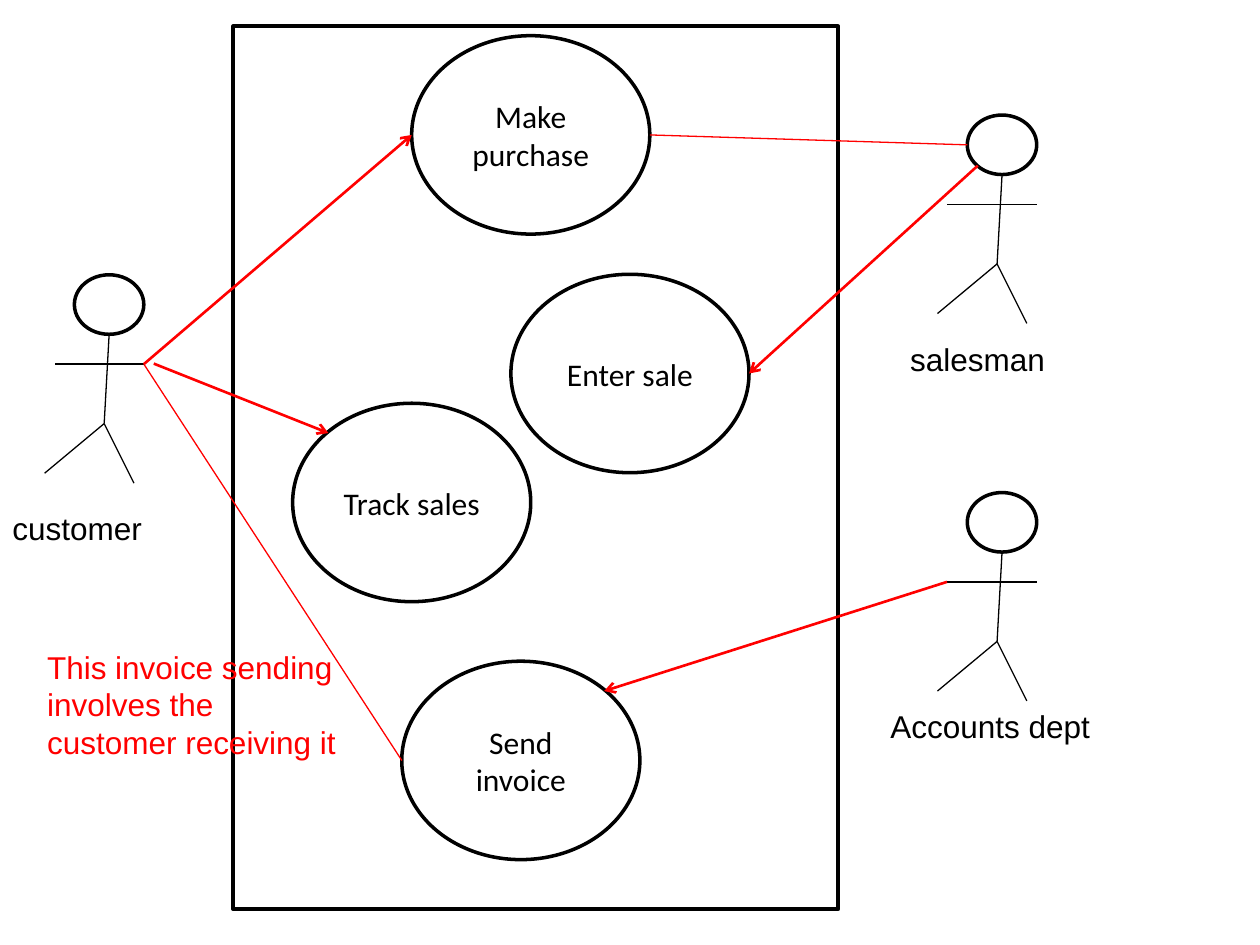
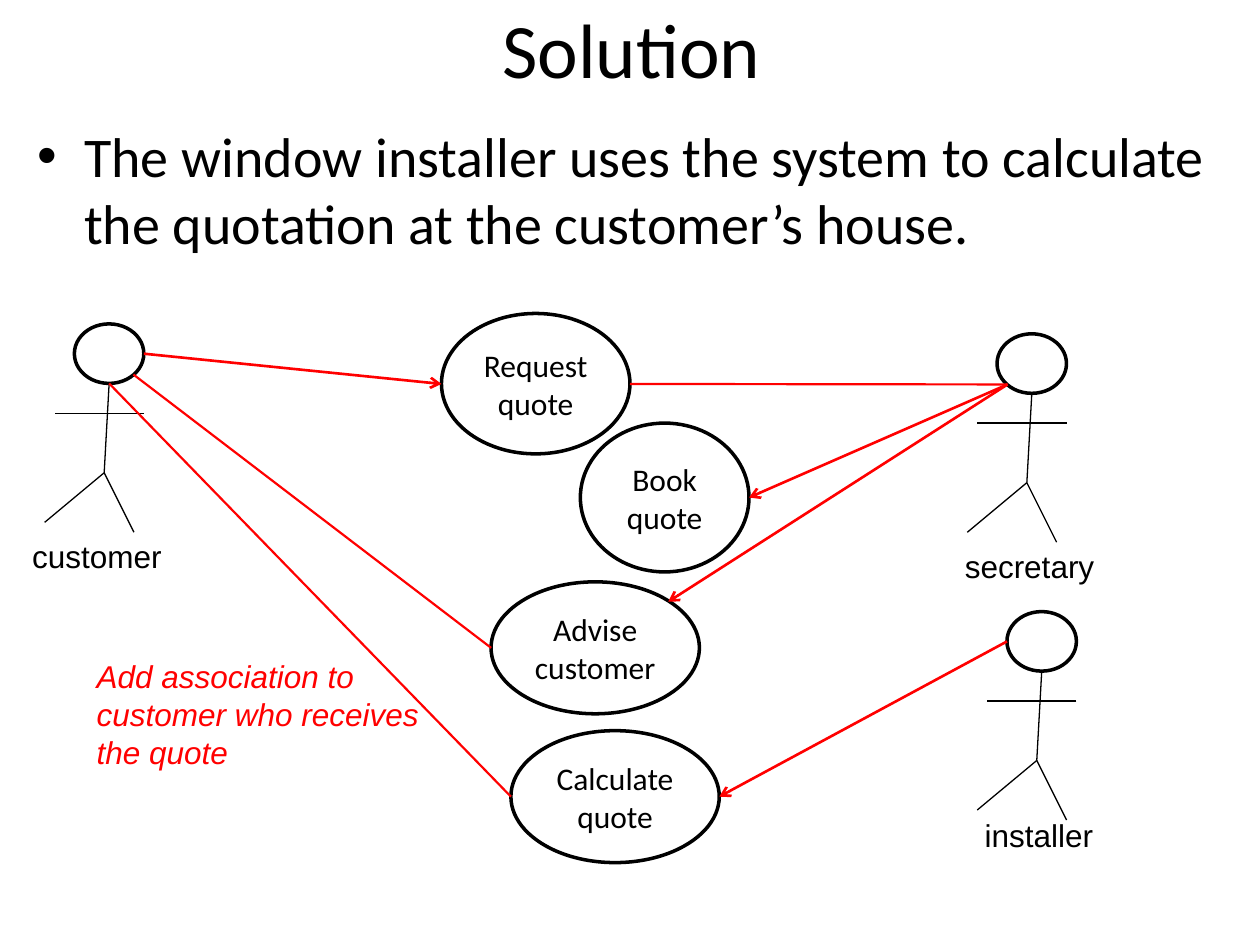
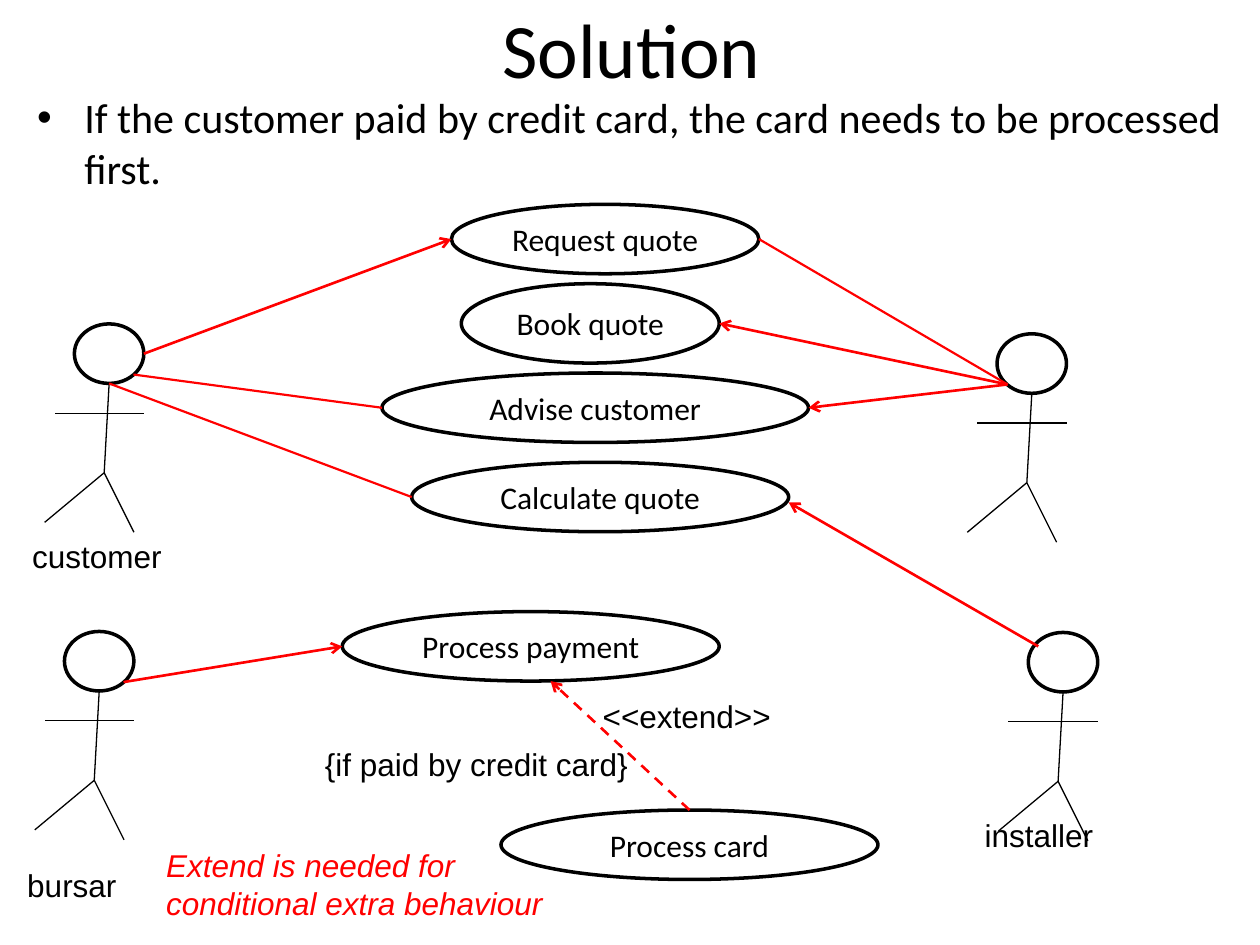
from lxml import etree
from pptx import Presentation
from pptx.dml.color import RGBColor
from pptx.enum.dml import MSO_LINE_DASH_STYLE as Dash
from pptx.enum.shapes import MSO_CONNECTOR as Connector, MSO_SHAPE as Shape
from pptx.enum.text import MSO_ANCHOR as Anchor, MSO_AUTO_SIZE as AutoSize, PP_ALIGN as Align
from pptx.oxml.ns import qn
from pptx.util import Cm, Pt

COLORS = {"ink": "000000", "accent": "FF0000"}
DIAGRAM_FONT, LABEL_FONT = "Calibri", "Arial"
SITES = {
    "top": (0.5, 0), "bottom": (0.5, 1), "left": (0, 0.5), "right": (1, 0.5),
    "top left": (0.15, 0.15), "top right": (0.85, 0.15),
    "bottom left": (0.15, 0.85), "bottom right": (0.85, 0.85),
    "left hand": (-0.29, 1.5), "right hand": (1, 1.5),
}
HEAD_SIZE = (1.4, 1.2)
LIMBS = [
    ((0.7, 1.2), (0.6, 3)),
    ((1.4, 1.8), (-0.4, 1.8)),
    ((0.6, 3), (-0.6, 4)),
    ((0.6, 3), (1.2, 4.2)),
]


def rgb(name):
    return RGBColor.from_string(COLORS[name])


def at(shape, site):
    across, down = SITES[site]
    return (round((shape.left + across * shape.width) / Cm(1), 2),
            round((shape.top + down * shape.height) / Cm(1), 2))


class UseCaseDeck:
    def __init__(self):
        self.presentation = Presentation()
        self.presentation.slide_width = Cm(25.4)
        self.presentation.slide_height = Cm(19.05)
        self.slide = None

    def new_slide(self):
        self.slide = self.presentation.slides.add_slide(self.presentation.slide_layouts[6])

    def set_text(self, frame, text, font, size=18, color="ink", italic=False, align=Align.LEFT):
        frame.word_wrap = True
        paragraph = frame.paragraphs[0]
        paragraph.text = text
        paragraph.alignment = align
        paragraph.font.name = font
        paragraph.font.size = Pt(size)
        paragraph.font.italic = italic
        paragraph.font.color.rgb = rgb(color)

    def text_box(self, left, top, width, height):
        box = self.slide.shapes.add_textbox(Cm(left), Cm(top), Cm(width), Cm(height))
        return box.text_frame

    def title(self, text):
        frame = self.text_box(1.3, 0, 22.86, 1.93)
        frame.vertical_anchor = Anchor.MIDDLE
        self.set_text(frame, text, DIAGRAM_FONT, 44, align=Align.CENTER)

    def bullet(self, text, top, height, size):
        frame = self.text_box(0.5, top, 24.4, height)
        properties = frame.paragraphs[0]._p.get_or_add_pPr()
        properties.set("marL", str(Cm(0.95)))
        properties.set("indent", str(-Cm(0.95)))
        etree.SubElement(properties, qn("a:buFont"), typeface="Arial")
        etree.SubElement(properties, qn("a:buChar"), char="•")
        self.set_text(frame, text, DIAGRAM_FONT, size)

    def label(self, text, left, top, width=3.7, height=1.02, **style):
        frame = self.text_box(left, top, width, height)
        frame.auto_size = AutoSize.SHAPE_TO_FIT_TEXT
        self.set_text(frame, text, LABEL_FONT, **style)

    def note(self, text, left, top, width, height, italic=True):
        self.label(text, left, top, width, height, color="accent", italic=italic)

    def outline(self, kind, left, top, width, height, shapes=None):
        shapes = shapes or self.slide.shapes
        shape = shapes.add_shape(kind, Cm(left), Cm(top), Cm(width), Cm(height))
        shape.shadow.inherit = False
        shape.fill.background()
        shape.line.color.rgb = rgb("ink")
        shape.line.width = Pt(2)
        return shape

    def use_case(self, text, left, top, width, height):
        shape = self.outline(Shape.OVAL, left, top, width, height)
        shape.text_frame.vertical_anchor = Anchor.MIDDLE
        self.set_text(shape.text_frame, text, DIAGRAM_FONT, align=Align.CENTER)
        return shape

    def line(self, start, end, color="accent", width=1.25, shapes=None):
        shapes = shapes or self.slide.shapes
        points = [Cm(value) for value in (*start, *end)]
        connector = shapes.add_connector(Connector.STRAIGHT, *points)
        connector.line.color.rgb = rgb(color)
        connector.line.width = Pt(width)
        etree.SubElement(connector._element.spPr, qn("a:effectLst"))
        return connector

    def arrow(self, start, end, dashed=False):
        connector = self.line(start, end, width=1.5)
        if dashed:
            connector.line.dash_style = Dash.DASH
        outline = connector._element.spPr.find(qn("a:ln"))
        etree.SubElement(outline, qn("a:tailEnd"), type="arrow")

    def actor(self, left, top):
        shapes = self.slide.shapes.add_group_shape().shapes
        head = self.outline(Shape.OVAL, left, top, *HEAD_SIZE, shapes=shapes)
        for limb in LIMBS:
            start, end = [(left + x, top + y) for x, y in limb]
            self.line(start, end, "ink", 0.75, shapes)
        return head


def sales_slide(deck):
    deck.new_slide()
    customer = deck.actor(1.5, 5.54)
    salesman = deck.actor(19.5, 2.32)
    accounts = deck.actor(19.5, 9.93)
    deck.label("customer", 0, 10.13)
    deck.label("salesman", 18.1, 6.73)
    deck.label("Accounts dept", 17.7, 14.12, 6.2)
    deck.outline(Shape.RECTANGLE, 4.7, 0.53, 12.2, 17.8)
    purchase, sale, track, invoice = [
        deck.use_case(text, left, top, 4.8, 4)
        for text, left, top in [
            ("Make purchase", 8.3, 0.72),
            ("Enter sale", 10.3, 5.53),
            ("Track sales", 5.9, 8.13),
            ("Send invoice", 8.1, 13.33),
        ]
    ]
    hand = at(customer, "right hand")
    deck.arrow(hand, at(purchase, "left"))
    deck.line(at(purchase, "right"), at(salesman, "left"), width=0.75)
    deck.note("This invoice sending involves the customer receiving it",
              0.7, 12.93, 6.4, 2.57, italic=False)
    deck.arrow(at(salesman, "bottom left"), at(sale, "right"))
    deck.arrow((3.1, 7.33), at(track, "top left"))
    deck.arrow(at(accounts, "left hand"), at(invoice, "top right"))
    deck.line(hand, at(invoice, "left"), width=0.75)


def quote_links(deck, customer, secretary, request, book, advise, calculate, advise_site):
    desk = at(secretary, "bottom left")
    deck.arrow(at(customer, "right"), at(request, "left"))
    deck.line(at(request, "right"), desk)
    deck.arrow(desk, at(book, "right"))
    deck.arrow(desk, at(advise, advise_site))
    deck.line(at(customer, "bottom right"), at(advise, "left"))
    deck.line(at(customer, "bottom"), at(calculate, "left"))


def quote_slide(deck, bullet, use_cases, advise_site):
    deck.new_slide()
    deck.title("Solution")
    deck.bullet(*bullet)
    customer = deck.actor(1.5, 6.53)
    secretary = deck.actor(20.1, 6.73)
    deck.label("customer", 0.4, 10.7)
    deck.label("installer", 19.6, 16.33)
    cases = [deck.use_case(*use_case) for use_case in use_cases]
    quote_links(deck, customer, secretary, *cases, advise_site)
    return cases


def quotation_slide(deck):
    bullet = ("The window installer uses the system to calculate the quotation "
              "at the customer’s house.", 2.33, 2.8, 32)
    calculate = quote_slide(deck, bullet, [
        ("Request quote", 8.9, 6.32, 3.8, 2.83),
        ("Book quote", 11.7, 8.53, 3.4, 3),
        ("Advise customer", 9.9, 11.73, 4.2, 2.66),
        ("Calculate quote", 10.3, 14.73, 4.2, 2.66),
    ], "top right")[-1]
    installer = deck.actor(20.3, 12.33)
    deck.label("secretary", 19.2, 10.9)
    deck.arrow(at(installer, "left"), at(calculate, "right"))
    deck.note("Add association to customer who receives the quote", 1.7, 13.13, 8, 2.57)


def payment_slide(deck):
    bullet = ("If the customer paid by credit card, the card needs to be processed first.",
              1.73, 1.6, 24)
    quote_slide(deck, bullet, [
        ("Request quote", 9.1, 4.12, 6.2, 1.4),
        ("Book quote", 9.3, 5.72, 5.2, 1.6),
        ("Advise customer", 7.7, 7.52, 8.6, 1.4),
        ("Calculate quote", 8.3, 9.32, 7.6, 1.4),
    ], "right")
    bursar = deck.actor(1.3, 12.73)
    deck.actor(20.73, 12.75)
    payment = deck.use_case("Process payment", 6.9, 12.33, 7.6, 1.4)
    card = deck.use_case("Process card", 10.1, 16.33, 7.6, 1.4)
    deck.label("bursar", 0.3, 17.33)
    deck.arrow(at(bursar, "bottom right"), at(payment, "left"))
    deck.arrow((20.93, 13.03), (15.9, 10.13))
    deck.arrow(at(card, "top"), (11.1, 13.73), dashed=True)
    deck.label("<<extend>>", 11.9, 13.93, 4)
    deck.label("{if paid by credit card}", 6.3, 14.9, 7.2)
    deck.note("Extend is needed for conditional extra behaviour", 3.1, 16.93, 8.6, 1.8)


def main():
    deck = UseCaseDeck()
    sales_slide(deck)
    quotation_slide(deck)
    payment_slide(deck)
    deck.presentation.save("out.pptx")


if __name__ == "__main__":
    main()
